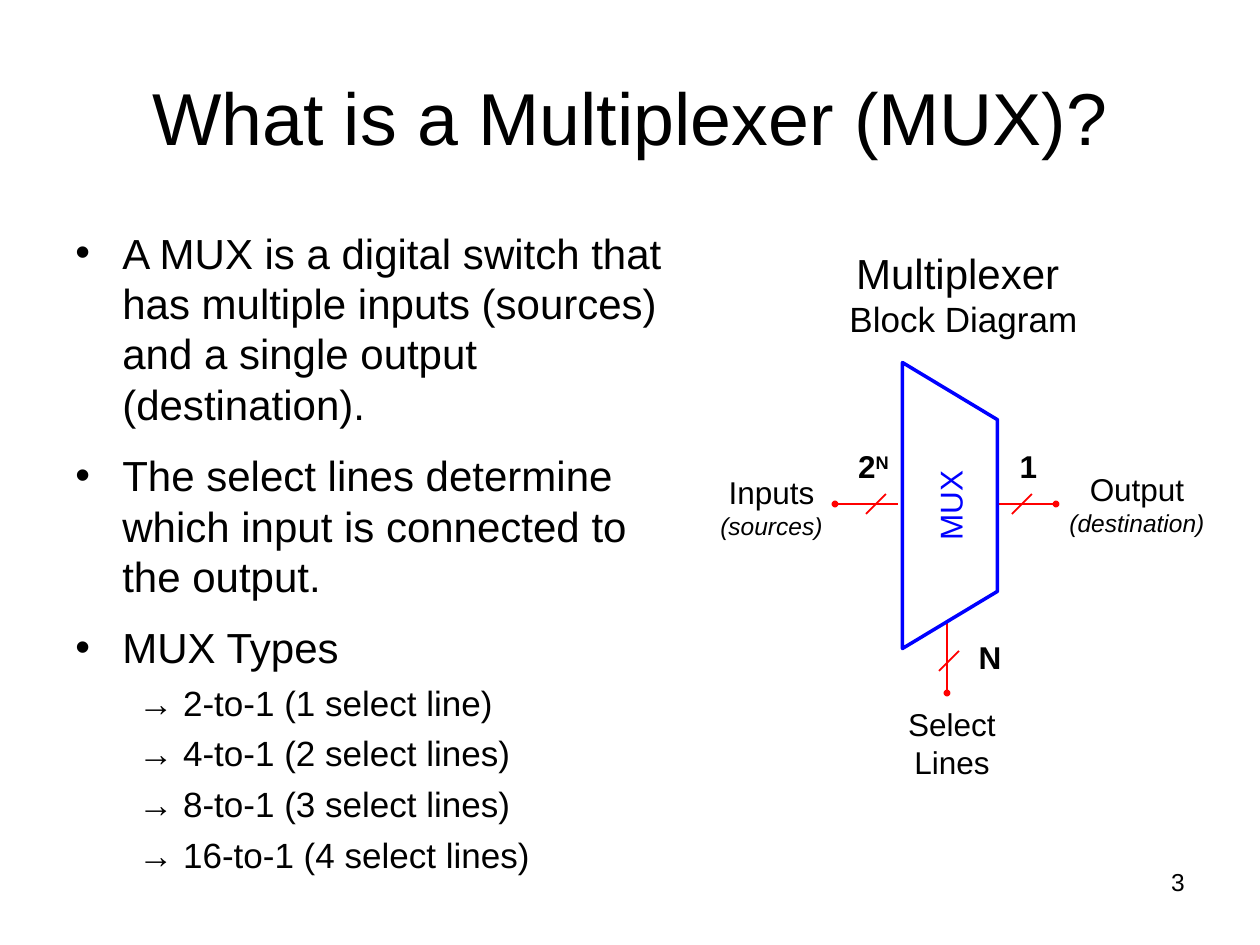
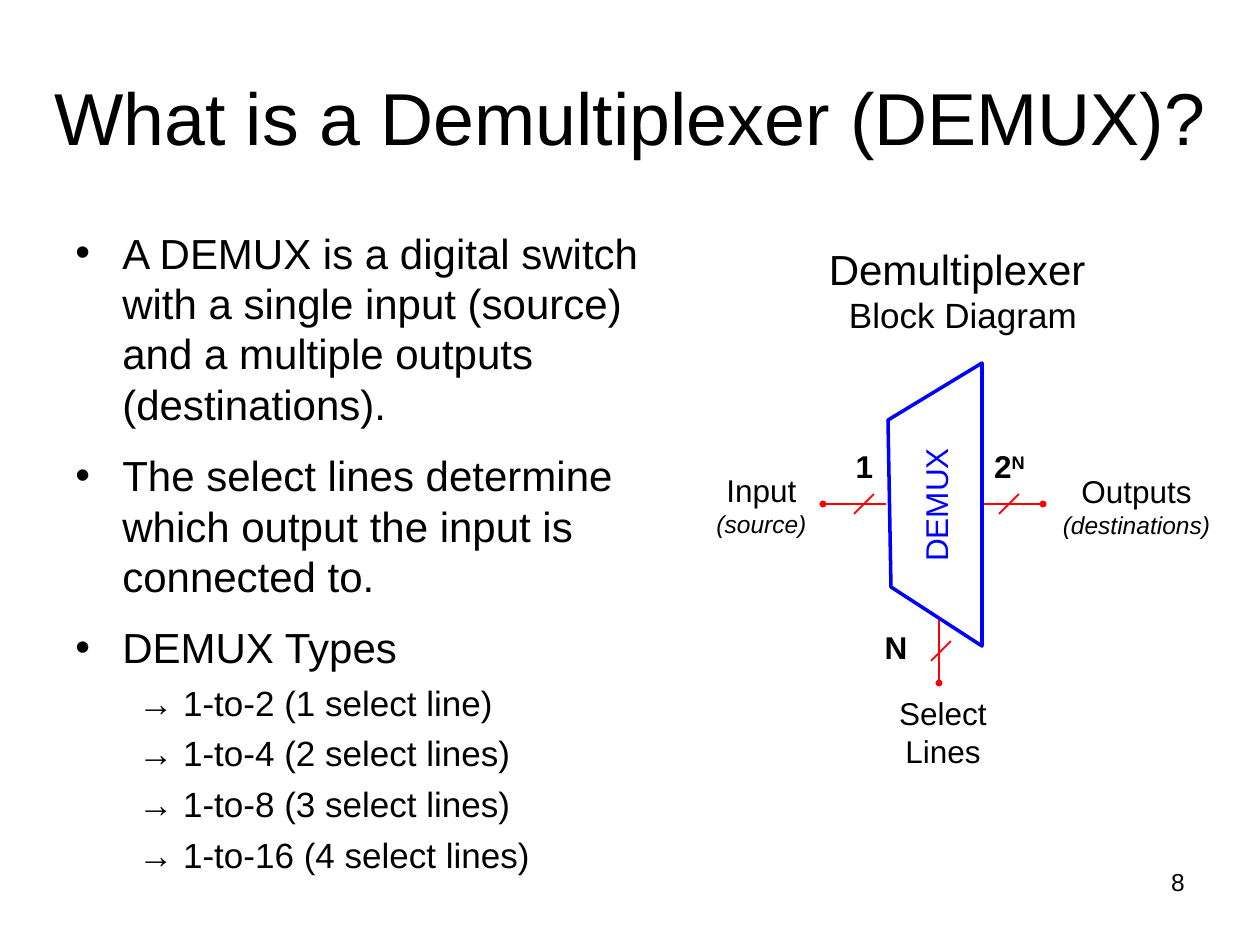
from dataclasses import dataclass, field
from typing import Any, NamedTuple

import lxml.etree
import pptx
import pptx.dml.color
import pptx.enum.shapes
import pptx.enum.text
import pptx.oxml.ns
import pptx.util

EMU_PER_PX = 914400 / 126
FONT = "Arial"
BLACK, WHITE, RED, BLUE = "000000", "FFFFFF", "FF0000", "0000FF"
ALIGN = pptx.enum.text.PP_ALIGN
ANCHOR = pptx.enum.text.MSO_ANCHOR
SHAPES = pptx.enum.shapes.MSO_SHAPE

TITLE = {"size": 42}
HEADING = {"size": 24}
SUBHEADING = {"size": 20}
LABEL = {"size": 18}
WIDTH = {"size": 18, "bold": True}
NOTE = {"size": 14, "italic": True}
NUMBER = {"size": 14}
TICK = 10


class Box(NamedTuple):
    x: int
    y: int
    w: int
    h: int


@dataclass
class Para:
    text: str
    font: dict[str, Any]
    superscript: str = ""
    color: str = BLACK
    fmt: dict[str, Any] = field(default_factory=lambda: {"alignment": ALIGN.CENTER})
    indent: tuple[int, int] = (0, 0)
    bullet: str = ""


@dataclass
class Label:
    box: Box
    paras: list[Para]


@dataclass
class Lead:
    """A line from its dot to the block, crossed by a bus tick."""
    x: int
    y: int
    dx: int
    dy: int
    tick_dx: int
    tick_dy: int


@dataclass
class Topic:
    title: str
    number: str
    body_w: int
    points: list[str]
    types: list[str]
    labels: list[Label]
    leads: list[Lead]


def px(n: float) -> pptx.util.Emu:
    return pptx.util.Emu(round(n * EMU_PER_PX))


def rgb(value: str) -> pptx.dml.color.RGBColor:
    return pptx.dml.color.RGBColor.from_string(value)


def sub(parent: Any, tag: str, **attrs: str) -> Any:
    el = lxml.etree.SubElement(parent, pptx.oxml.ns.qn(tag))
    for name, value in attrs.items():
        el.set(name, value)
    return el


def add_run(p: Any, text: str, para: Para) -> Any:
    r = p.add_run()
    r.text = text
    for name, value in para.font.items():
        setattr(r.font, name, pptx.util.Pt(value) if name == "size" else value)
    r.font.name = FONT
    r.font.color.rgb = rgb(para.color)
    return r


def write(tf: Any, paras: list[Para]) -> None:
    for i, para in enumerate(paras):
        p = tf.add_paragraph() if i else tf.paragraphs[0]
        for name, value in para.fmt.items():
            setattr(p, name, value)
        pPr = p._p.get_or_add_pPr()
        left, first = para.indent
        pPr.set("marL", str(px(left)))
        pPr.set("indent", str(px(first)))
        if para.bullet:
            sub(sub(pPr, "a:buClr"), "a:srgbClr", val=para.color)
            sub(pPr, "a:buFont", typeface=FONT)
            sub(pPr, "a:buChar", char=para.bullet)
        else:
            sub(pPr, "a:buNone")
        add_run(p, para.text, para)
        if para.superscript:
            r = add_run(p, para.superscript, para)
            r._r.get_or_add_rPr().set("baseline", "30000")


def add_text(s: Any, box: Box, paras: list[Para], wrap: bool = True,
             anchor: Any = ANCHOR.TOP) -> Any:
    sp = s.shapes.add_textbox(*map(px, box))
    tf = sp.text_frame
    tf.word_wrap = wrap
    tf.vertical_anchor = anchor
    if not wrap:
        tf.auto_size = pptx.enum.text.MSO_AUTO_SIZE.SHAPE_TO_FIT_TEXT
    write(tf, paras)
    return sp


def add_line(s: Any, x1: int, y1: int, x2: int, y2: int, dot: bool = False) -> None:
    line = s.shapes.add_connector(pptx.enum.shapes.MSO_CONNECTOR.STRAIGHT,
                                  *map(px, (x1, y1, x2, y2)))
    line.line.color.rgb = rgb(RED)
    line.line.width = pptx.util.Pt(1)
    if dot:
        sub(line.line._get_or_add_ln(), "a:headEnd", type="oval", w="sm", len="sm")
    sub(line._element.spPr, "a:effectLst")


def add_lead(s: Any, lead: Lead) -> None:
    add_line(s, lead.x, lead.y, lead.x + lead.dx, lead.y + lead.dy, dot=True)
    x, y = lead.x + lead.tick_dx, lead.y + lead.tick_dy
    add_line(s, x - TICK, y + TICK, x + TICK, y - TICK)


def style_block(sp: Any) -> None:
    sp.shadow.inherit = False
    sp.fill.solid()
    sp.fill.fore_color.rgb = rgb(WHITE)
    sp.line.color.rgb = rgb(BLUE)
    sp.line.width = pptx.util.Pt(2)


def add_mux(s: Any) -> None:
    sp = s.shapes.add_shape(SHAPES.FLOWCHART_MANUAL_OPERATION,
                            *map(px, Box(807, 458, 286, 95)))
    sp.rotation = 270
    style_block(sp)
    sp.text_frame.vertical_anchor = ANCHOR.MIDDLE
    write(sp.text_frame, [Para("MUX", LABEL, color=BLUE)])


def add_demux(s: Any) -> None:
    fb = s.shapes.build_freeform(891, 587, scale=EMU_PER_PX)
    fb.add_line_segments([(888, 420), (982, 363), (982, 646)], close=True)
    style_block(fb.convert_to_shape())
    text = add_text(s, Box(861, 480, 149, 50), [Para("DEMUX", LABEL, color=BLUE)], wrap=False)
    text.rotation = 270


def body(topic: Topic) -> list[Para]:
    paras = []
    for point in topic.points:
        last = point == topic.points[-1]
        fmt = {"alignment": ALIGN.LEFT, "space_after": pptx.util.Pt(0 if last else 12)}
        paras.append(Para(point, HEADING, fmt=fmt, indent=(47, -47), bullet="•"))
    fmt = {"alignment": ALIGN.LEFT, "level": 1, "space_before": pptx.util.Pt(5)}
    return paras + [Para(f"→ {kind}", SUBHEADING, fmt=fmt, indent=(102, -39))
                    for kind in topic.types]


def add_topic(prs: Any, topic: Topic) -> Any:
    s = prs.slides.add_slide(prs.slide_layouts[6])
    add_text(s, Box(0, 38, 1260, 157), [Para(topic.title, TITLE)], anchor=ANCHOR.MIDDLE)
    add_text(s, Box(63, 221, topic.body_w, 693), body(topic))
    add_text(s, Box(903, 861, 294, 66),
             [Para(topic.number, NUMBER, fmt={"alignment": ALIGN.RIGHT})])
    for lead in topic.leads:
        add_lead(s, lead)
    for label in topic.labels:
        add_text(s, label.box, label.paras, wrap=False)
    return s


def heading(box: Box, name: str) -> Label:
    return Label(box, [Para(f"{name} ", HEADING), Para("Block Diagram", SUBHEADING)])


def port(box: Box, name: str, note: str) -> Label:
    return Label(box, [Para(name, LABEL), Para(f"({note})", NOTE)])


def select(x: int, y: int) -> Label:
    return Label(Box(x, y, 122, 88), [Para("Select", LABEL), Para("Lines", LABEL)])


def bus_width(box: Box, text: str, superscript: str = "") -> Label:
    return Label(box, [Para(text, WIDTH, superscript)])


def leads(x_in: int, x_out: int, x_select: int, y_select: int) -> list[Lead]:
    return [Lead(x_in, 504, 63, 0, 41, 0),
            Lead(x_out, 504, -63, 0, -34, 0),
            Lead(x_select, y_select, 0, -76, 2, -32)]


MUX = Topic(
    "What is a Multiplexer (MUX)?", "3", 630,
    ["A MUX is a digital switch that has multiple inputs (sources) and a single "
     "output (destination).",
     "The select lines determine which input is connected to the output.",
     "MUX Types"],
    ["2-to-1 (1 select line)", "4-to-1 (2 select lines)",
     "8-to-1 (3 select lines)", "16-to-1 (4 select lines)"],
    [heading(Box(832, 241, 263, 106), "Multiplexer"),
     port(Box(703, 467, 137, 81), "Inputs", "sources"),
     port(Box(1052, 464, 170, 81), "Output", "destination"),
     select(891, 699),
     bus_width(Box(841, 441, 65, 50), "2", "N"),
     bus_width(Box(1002, 441, 53, 50), "1"),
     bus_width(Box(961, 632, 58, 50), "N")],
    leads(835, 1056, 947, 693))

DEMUX = Topic(
    "What is a Demultiplexer (DEMUX)?", "8", 620,
    ["A DEMUX is a digital switch with a single input (source) and a multiple "
     "outputs (destinations).",
     "The select lines determine which output the input is connected to.",
     "DEMUX Types"],
    ["1-to-2 (1 select line)", "1-to-4 (2 select lines)",
     "1-to-8 (3 select lines)", "1-to-16 (4 select lines)"],
    [heading(Box(811, 237, 304, 106), "Demultiplexer"),
     port(Box(699, 465, 125, 81), "Input", "source"),
     port(Box(1045, 466, 183, 81), "Outputs", "destinations"),
     select(882, 688),
     bus_width(Box(838, 441, 53, 50), "1"),
     bus_width(Box(977, 441, 65, 50), "2", "N"),
     bus_width(Box(867, 622, 58, 50), "N")],
    leads(823, 1043, 939, 683))


def main() -> None:
    prs = pptx.Presentation()
    prs.slide_width, prs.slide_height = px(1260), px(945)
    add_mux(add_topic(prs, MUX))
    add_demux(add_topic(prs, DEMUX))
    prs.save("out.pptx")


if __name__ == "__main__":
    main()
